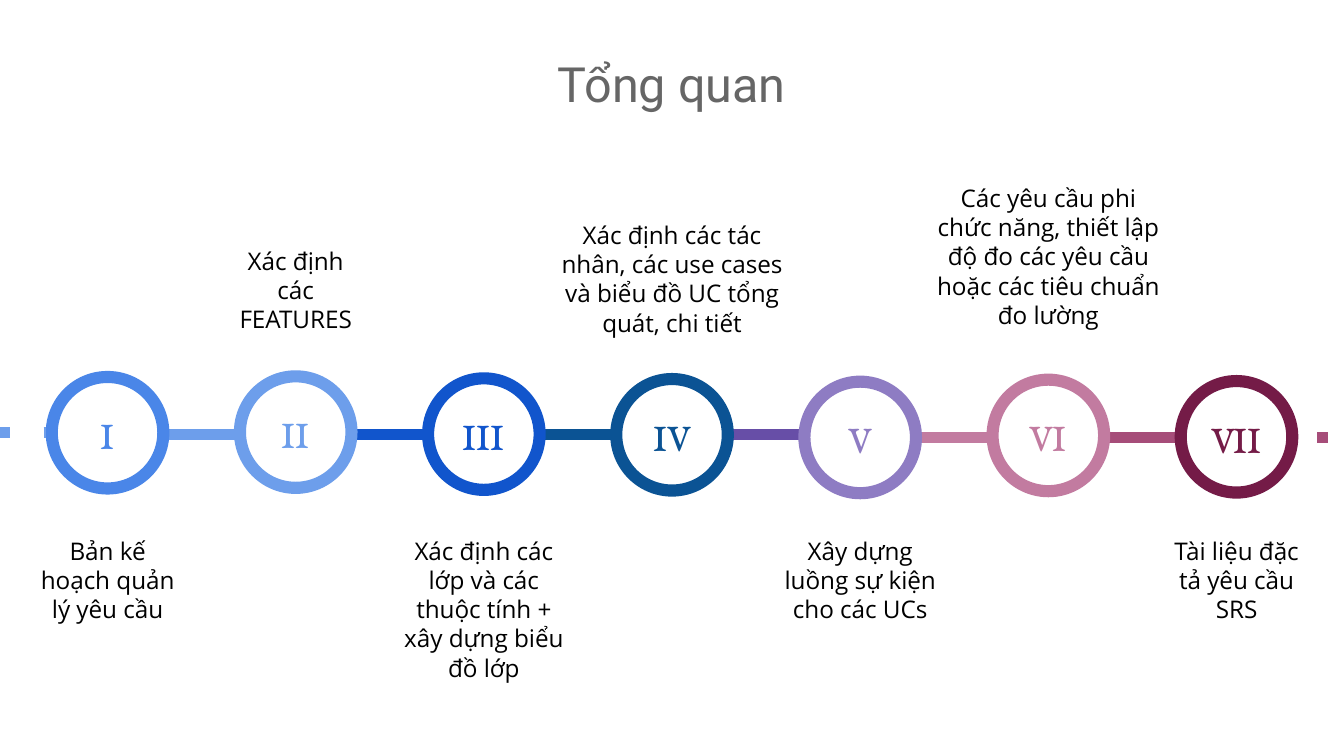
from lxml.etree import SubElement
from pptx import Presentation
from pptx.dml.color import RGBColor as RGB
from pptx.enum.lang import MSO_LANGUAGE_ID as Lang
from pptx.enum.shapes import MSO_CONNECTOR as Conn, MSO_SHAPE as Shape
from pptx.enum.text import MSO_ANCHOR as Anchor, PP_ALIGN as Align
from pptx.oxml.ns import qn
from pptx.util import Pt

PX = 4572  # 200 px to the inch
INK = {
    "black": "000000", "gray": "666666", "blue": "4A86E8", "sky": "6D9EEB",
    "royal": "1155CC", "navy": "0B5394", "violet": "674EA7", "lilac": "8E7CC3",
    "pink": "C27BA0", "rose": "A64D79", "wine": "741B47",
}
FIRST, STEP, RING, INSET = 160, 280, 184, 84

# numeral, ring colour, ring top, caption, caption top, width, height
STAGES = [
    ("I", "blue", 552, "Bản kế hoạch quản lý yêu cầu", 778, 264, 168),
    ("II", "sky", 551, "Xác định các FEATURES", 346, 226, 156),
    ("III", "royal", 554,
     "Xác định các lớp và các thuộc tính + xây dựng biểu đồ lớp", 778, 286, 266),
    ("IV", "navy", 555,
     "Xác định các tác nhân, các use cases và biểu đồ UC tổng quát, chi tiết",
     308, 372, 208),
    ("V", "lilac", 559, "Xây dựng luồng sự kiện cho các UCs", 778, 286, 228),
    ("VI", "pink", 556,
     "Các yêu cầu phi chức năng, thiết lập độ đo các yêu cầu hoặc các tiêu chuẩn"
     " đo lường", 253, 372, 248),
    ("VII", "wine", 558, "Tài liệu đặc tả yêu cầu SRS", 778, 264, 228),
]
LINKS = [("sky", 647), ("royal", 647), ("navy", 647),
         ("violet", 647), ("pink", 651), ("rose", 651)]


def color(name):
    return RGB.from_string(INK[name])


def write(shape, text, font="Open Sans", size=13, ink="black",
          anchor=Anchor.TOP, pad=(20, 20), space=None):
    frame = shape.text_frame
    frame.word_wrap = True
    frame.vertical_anchor = anchor
    frame.margin_left = frame.margin_right = pad[0] * PX
    frame.margin_top = frame.margin_bottom = pad[1] * PX
    para = frame.paragraphs[0]
    para.alignment = Align.CENTER
    para.line_spacing = space
    run = para.add_run()
    run.text = text
    run.font.name, run.font.size = font, Pt(size)
    run.font.language_id = Lang.ENGLISH_US
    run.font.color.rgb = color(ink)
    for tag in ("a:ea", "a:cs"):
        SubElement(run.font._element, qn(tag), typeface=font)


class Deck:
    def __init__(self, wide, high):
        self.show = Presentation()
        self.show.slide_width, self.show.slide_height = wide * PX, high * PX
        self.slide = self.show.slides.add_slide(self.show.slide_layouts[5])
        self.shapes = self.slide.shapes

    def title(self, text, x, y, w, h):
        head = self.shapes.title
        head.left, head.top, head.width, head.height = (n * PX for n in (x, y, w, h))
        write(head, text, font="Roboto", size=26, ink="gray",
              anchor=Anchor.MIDDLE, pad=(8, 4), space=0.9)

    def link(self, x1, x2, y, ink, dash=None):
        line = self.shapes.add_connector(
            Conn.STRAIGHT, x1 * PX, y * PX, x2 * PX, y * PX)
        line.line.color.rgb = color(ink)
        line.line.width = Pt(6)
        props = line._element.spPr
        if dash:
            SubElement(props.find(qn("a:ln")), qn("a:prstDash"), val=dash)
        SubElement(props, qn("a:effectLst"))

    def ring(self, text, mid, y, ink):
        ring = self.shapes.add_shape(
            Shape.DONUT, (mid - RING // 2) * PX, y * PX, RING * PX, RING * PX)
        ring.adjustments[0] = 0.098
        ring.shadow.inherit = False
        ring.fill.solid()
        ring.fill.fore_color.rgb = color(ink)
        ring.line.fill.background()
        write(ring, text, font="EB Garamond", size=22, ink=ink, anchor=Anchor.MIDDLE)

    def note(self, text, mid, y, w, h):
        box = self.shapes.add_textbox((mid - w // 2) * PX, y * PX, w * PX, h * PX)
        write(box, text)


def main():
    deck = Deck(2000, 1125)
    deck.title("Tổng quan", 68, 66, 1864, 126)
    deck.link(1960, 2082, 651, "rose", "dot")
    for i, (ink, y) in enumerate(LINKS):
        mid = FIRST + i * STEP
        deck.link(mid + INSET, mid + STEP - INSET, y, ink)
    for i, (num, ink, top, text, y, w, h) in enumerate(STAGES):
        mid = FIRST + i * STEP
        deck.ring(num, mid, top, ink)
        deck.note(text, mid, y, w, h)
    deck.link(-2, 68, 644, "sky", "dot")
    deck.show.save("out.pptx")


if __name__ == "__main__":
    main()
